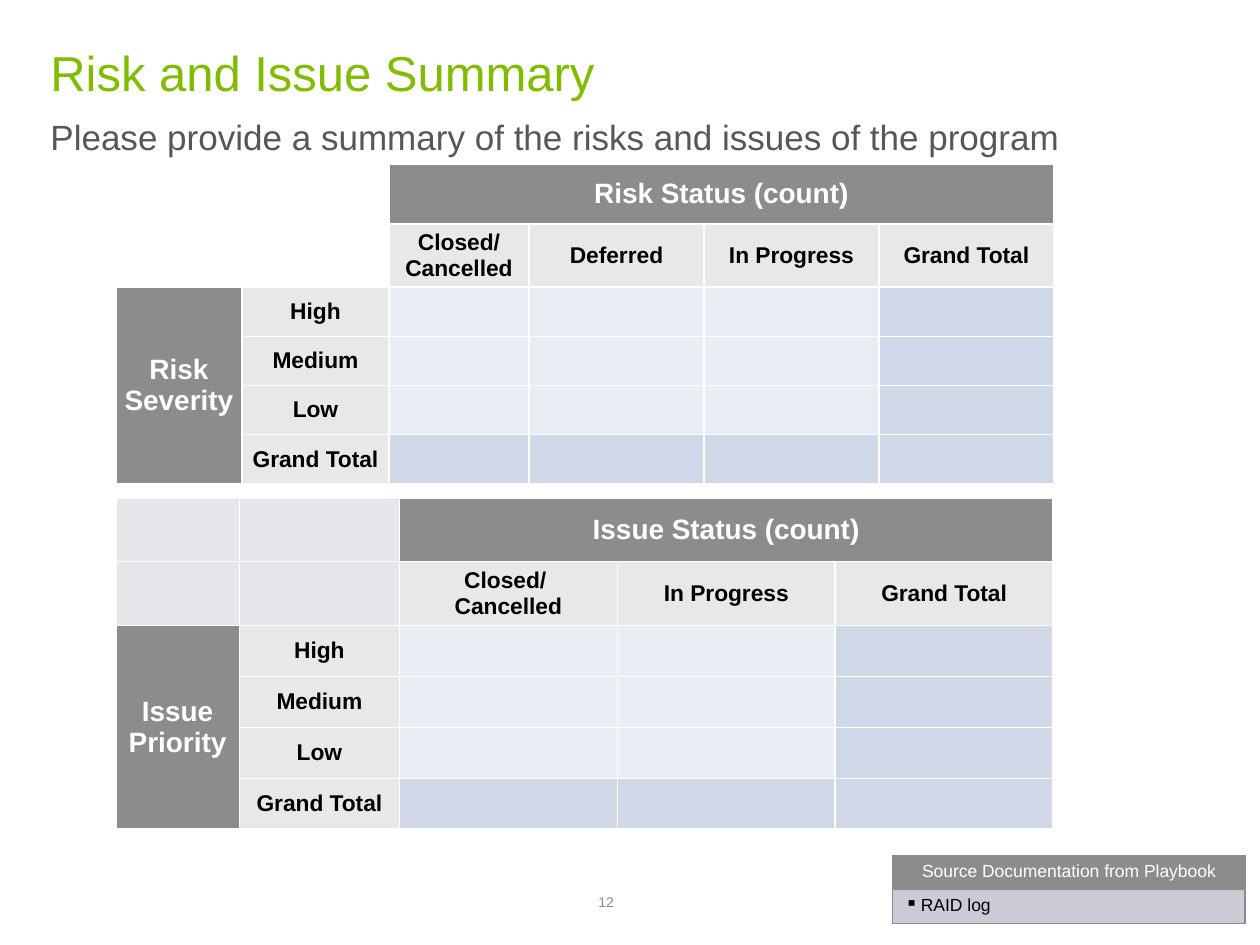
from dataclasses import dataclass

from lxml import etree
from pptx import Presentation, util as u
from pptx.dml import color
from pptx.enum import text
from pptx.oxml import ns

GREEN, GREY, DARK = "81BC00", "8C8C8C", "575757"
WHITE, BLACK = "FFFFFF", "000000"
LABEL, COUNT, TOTAL, SOURCE = "E8E8E8", "E9EDF4", "D0D8E8", "CACBD5"
LEVELS = ["High", "Medium", "Low", "Grand Total"]
NO_INSETS = dict.fromkeys(
    ("margin_left", "margin_top", "margin_right", "margin_bottom"), 0)
MIDDLE = text.MSO_ANCHOR.MIDDLE


@dataclass
class Matrix:
    """A table of counts: levels down the side, statuses across the top."""
    top: float
    cols: list[float]
    rows: list[float]
    heading: str
    side: str
    statuses: list[str]
    corner: str | None = None


MATRICES = [
    Matrix(93.6, [72, 84, 80, 100, 100, 100], [34.5, 36] + [28.1] * 4,
           "Risk Status (count)", "Risk Severity",
           ["Closed/ Cancelled", "Deferred", "In Progress", "Grand Total"]),
    Matrix(284.5, [70.5, 91.5] + [124.5] * 3, [36.5, 36.5] + [29.1] * 4,
           "Issue Status (count)", "Issue Priority",
           ["Closed/ \nCancelled", "In Progress", "Grand Total"], "E6E7EB"),
]


def rgb(value: str) -> color.RGBColor:
    return color.RGBColor.from_string(value)


def set_all(target, values: dict) -> None:
    for name, value in values.items():
        setattr(target, name, value)


def style_text(tf, size: float, hue: str, bold=False, align=None) -> None:
    for p in tf.paragraphs:
        p.alignment = align
        set_all(p, {"space_before": u.Pt(0), "space_after": u.Pt(0)})
        for r in p.runs:
            set_all(r.font, {"name": "Arial", "size": u.Pt(size), "bold": bold})
            r.font.color.rgb = rgb(hue)


def set_bullet(p, indent: float, char: str | None = None) -> None:
    """Give the paragraph a bullet, or take it away when char is None."""
    pPr = p._p.get_or_add_pPr()
    pPr.set("marL", str(u.Pt(indent)))
    pPr.set("indent", str(-u.Pt(indent)))
    if char:
        etree.SubElement(pPr, ns.qn("a:buChar")).set("char", char)
    else:
        etree.SubElement(pPr, ns.qn("a:buNone"))


def fill_cell(cell, fill: str | None, border: str) -> None:
    if fill:
        cell.fill.solid()
        cell.fill.fore_color.rgb = rgb(fill)
    else:
        cell.fill.background()
    tcPr = cell._tc.get_or_add_tcPr()
    for i, side in enumerate("LRTB"):
        ln = etree.Element(ns.qn(f"a:ln{side}"), w=str(u.Pt(1)))
        solid = etree.SubElement(ln, ns.qn("a:solidFill"))
        etree.SubElement(solid, ns.qn("a:srgbClr"), val=border)
        tcPr.insert(i, ln)


def add_grid(s, left: float, top: float, cols: list[float], rows: list[float]):
    frame = s.shapes.add_table(len(rows), len(cols), u.Pt(left), u.Pt(top),
                               u.Pt(sum(cols)), u.Pt(sum(rows)))
    table = frame.table
    set_all(table, {"first_row": False, "horz_banding": False})
    for col, width in zip(table.columns, cols):
        col.width = u.Pt(width)
    for row, height in zip(table.rows, rows):
        row.height = u.Pt(height)
    return table


def write_label(cell, words: str, size=13, hue=BLACK) -> None:
    cell.text = words
    style_text(cell.text_frame, size, hue, True, text.PP_ALIGN.CENTER)


def cell_fill(m: Matrix, row: int, col: int) -> str | None:
    last_row, last_col = len(m.rows) - 1, len(m.cols) - 1
    if row < 2 and col < 2:
        return m.corner
    if row == 0 or col == 0:
        return GREY
    if row == 1 or col == 1:
        return LABEL
    return TOTAL if row == last_row or col == last_col else COUNT


def add_matrix(s, m: Matrix) -> None:
    table = add_grid(s, 66.25, m.top, m.cols, m.rows)
    for row in range(len(m.rows)):
        for col in range(len(m.cols)):
            cell = table.cell(row, col)
            set_all(cell, NO_INSETS | {"vertical_anchor": MIDDLE})
            fill_cell(cell, cell_fill(m, row, col), WHITE)
    table.cell(0, 2).merge(table.cell(0, len(m.cols) - 1))
    table.cell(2, 0).merge(table.cell(len(m.rows) - 1, 0))
    write_label(table.cell(0, 2), m.heading, 16, WHITE)
    write_label(table.cell(2, 0), m.side, 16, WHITE)
    for col, status in enumerate(m.statuses, 2):
        write_label(table.cell(1, col), status)
    for row, level in enumerate(LEVELS, 2):
        write_label(table.cell(row, 1), level)


def add_sources(s) -> None:
    table = add_grid(s, 510, 489, [201.5], [19.4, 19.4])
    head, item = table.cell(0, 0), table.cell(1, 0)
    head.text, item.text = "Source Documentation from Playbook", "RAID log"
    fill_cell(head, GREY, GREY)
    fill_cell(item, SOURCE, GREY)
    style_text(head.text_frame, 10, WHITE, align=text.PP_ALIGN.CENTER)
    style_text(item.text_frame, 10, BLACK)
    set_bullet(item.text_frame.paragraphs[0], 9, "▪")


def place_text(sp, box: tuple, words: str, size: float, hue: str, anchor) -> None:
    set_all(sp, dict(zip(("left", "top", "width", "height"), map(u.Pt, box))))
    tf = sp.text_frame
    tf.text = words
    set_all(tf, NO_INSETS | {"word_wrap": True, "vertical_anchor": anchor,
                             "auto_size": text.MSO_AUTO_SIZE.NONE})
    style_text(tf, size, hue, align=text.PP_ALIGN.LEFT)


def main() -> None:
    prs = Presentation()
    set_all(prs, {"slide_width": u.Pt(720), "slide_height": u.Pt(540)})
    s = prs.slides.add_slide(prs.slide_layouts[1])
    body = s.placeholders[1]
    place_text(s.shapes.title, (28.8, 23, 662.4, 36.7),
               "Risk and Issue Summary", 28, GREEN, MIDDLE)
    place_text(body, (28.8, 66.25, 662.4, 59.75),
               "Please provide a summary of the risks and issues of the program",
               20, DARK, text.MSO_ANCHOR.TOP)
    set_bullet(body.text_frame.paragraphs[0], 0)
    number = s.shapes.add_textbox(0, 0, 0, 0)
    place_text(number, (342, 510.5, 36, 9.4), "12", 8, GREY,
               text.MSO_ANCHOR.BOTTOM)
    for m in MATRICES:
        add_matrix(s, m)
    add_sources(s)
    prs.save("out.pptx")


if __name__ == "__main__":
    main()
